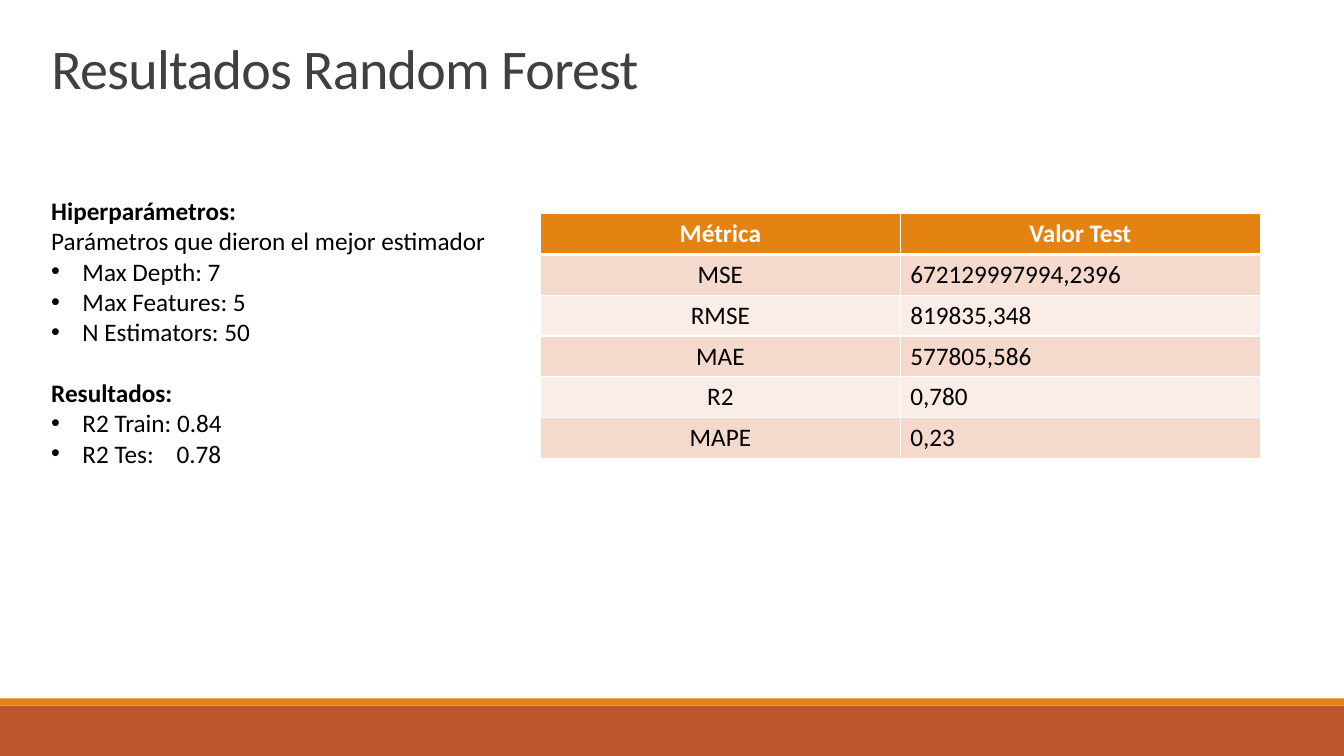
import pptx
import pptx.dml.color
import pptx.enum.shapes
import pptx.enum.text
import pptx.oxml
import pptx.oxml.ns
import pptx.util

Inches = pptx.util.Inches
Pt = pptx.util.Pt
ALIGN = pptx.enum.text.PP_ALIGN
ANCHOR = pptx.enum.text.MSO_ANCHOR

COLORS = {
    "rust": "BD582C",
    "orange": "E48312",
    "title": "404040",
    "text": "000000",
    "white": "FFFFFF",
    "band_dark": "F5D9CC",
    "band_light": "FAEDE7",
}

PARAMETERS = ["Max Depth: 7", "Max Features: 5", "N Estimators: 50"]
METRICS = [
    ("Métrica", "Valor Test"),
    ("MSE", "672129997994,2396"),
    ("RMSE", "819835,348"),
    ("MAE", "577805,586"),
    ("R2", "0,780"),
    ("MAPE", "0,23"),
]


def color(name):
    return pptx.dml.color.RGBColor.from_string(COLORS[name])


def element(xml):
    namespace = pptx.oxml.ns.nsdecls("a")
    return pptx.oxml.parse_xml(xml.replace(" ", f" {namespace} ", 1))


class SlideBuilder:
    """Holds the style and the current slide."""

    font = "Calibri"
    body_size = 18
    indent = Inches(0.31)

    def __init__(self, deck):
        self.slide = deck.slides.add_slide(deck.slide_layouts[5])

    def style(self, para, size, color_name, bold=False):
        para.font.name = self.font
        para.font.size = Pt(size)
        para.font.bold = bold
        para.font.color.rgb = color(color_name)

    def letter_spacing(self, span, points):
        span.font._element.set("spc", str(round(points * 100)))

    def bar(self, top, height, color_name):
        bar = self.slide.shapes.add_shape(
            pptx.enum.shapes.MSO_SHAPE.RECTANGLE,
            0, Inches(top), Inches(13.33), Inches(height))
        bar.shadow.inherit = False
        bar.fill.solid()
        bar.fill.fore_color.rgb = color(color_name)
        bar.line.fill.background()

    def title(self, text, left, top, width, height):
        box = self.slide.shapes.title
        box.left, box.top = Inches(left), Inches(top)
        box.width, box.height = Inches(width), Inches(height)
        frame = box.text_frame
        frame.auto_size = pptx.enum.text.MSO_AUTO_SIZE.NONE
        frame.vertical_anchor = ANCHOR.TOP
        para = frame.paragraphs[0]
        para.alignment = ALIGN.LEFT
        para.line_spacing = 0.85
        self.style(para, 40, "title")
        span = para.add_run()
        span.text = text
        self.letter_spacing(span, -0.5)

    def text_box(self, left, top, width, height):
        box = self.slide.shapes.add_textbox(
            Inches(left), Inches(top), Inches(width), Inches(height))
        box.text_frame.word_wrap = True
        return box.text_frame

    def paragraph(self, frame, text, bold=False, bullet=False, before=0):
        para = frame.paragraphs[0] if not frame.text else frame.add_paragraph()
        self.style(para, self.body_size, "text", bold)
        para.space_before = Pt(before)
        para.add_run().text = text
        if bullet:
            properties = para._p.get_or_add_pPr()
            properties.set("marL", str(self.indent))
            properties.set("indent", str(-self.indent))
            font = element('<a:buFont typeface="Arial"/>')
            mark = element('<a:buChar char="•"/>')
            for part in (font, mark):
                properties.insert_element_before(part, "a:defRPr")
        return para

    def borders(self, cell, top=1, bottom=1):
        properties = cell._tc.get_or_add_tcPr()
        for side, width in (("L", 1), ("R", 1), ("T", top), ("B", bottom)):
            properties.append(element(
                f'<a:ln{side} w="{Pt(width)}"><a:solidFill>'
                f'<a:srgbClr val="{COLORS["white"]}"/></a:solidFill></a:ln{side}>'))

    def table(self, rows, left, top, width, height):
        table = self.slide.shapes.add_table(
            len(rows), len(rows[0]),
            Inches(left), Inches(top), Inches(width), Inches(height)).table
        for i, row in enumerate(rows):
            header = i == 0
            band = "band_dark" if i % 2 else "band_light"
            for j, text in enumerate(row):
                cell = table.cell(i, j)
                self.borders(cell, 3 if i == 1 else 1, 3 if header else 1)
                cell.fill.solid()
                cell.fill.fore_color.rgb = color("orange" if header else band)
                para = cell.text_frame.paragraphs[0]
                para.add_run().text = text
                centered = header or j == 0
                para.alignment = ALIGN.CENTER if centered else ALIGN.LEFT
                self.style(para, self.body_size,
                           "white" if header else "text", header)


def main():
    deck = pptx.Presentation()
    deck.slide_width, deck.slide_height = Inches(13.33), Inches(7.5)
    page = SlideBuilder(deck)

    # Footer bars
    page.bar(7, 0.5, "rust")
    page.bar(6.93, 0.07, "orange")

    # Title
    page.title("Resultados Random Forest", 0.41, 0.38, 11, 0.84)

    # Hyperparameters and scores
    frame = page.text_box(0.41, 1.89, 4.71, 2.83)
    page.paragraph(frame, "Hiperparámetros:", bold=True)
    page.paragraph(frame, "Parámetros que dieron el mejor estimador")
    for parameter in PARAMETERS:
        page.paragraph(frame, parameter, bullet=True)
    page.paragraph(frame, "Resultados:", bold=True, before=22)
    page.paragraph(frame, "R2 Train: 0.84", bullet=True)

    # A widened space lines the test score up with the train score
    test_score = page.paragraph(frame, "R2 Tes:", bullet=True)
    gap = test_score.add_run()
    gap.text = " "
    page.letter_spacing(gap, 12.2)
    test_score.add_run().text = "0.78"

    # Metrics table
    page.table(METRICS, 5.36, 2.12, 7.14, 2.43)

    deck.save("out.pptx")


if __name__ == "__main__":
    main()
